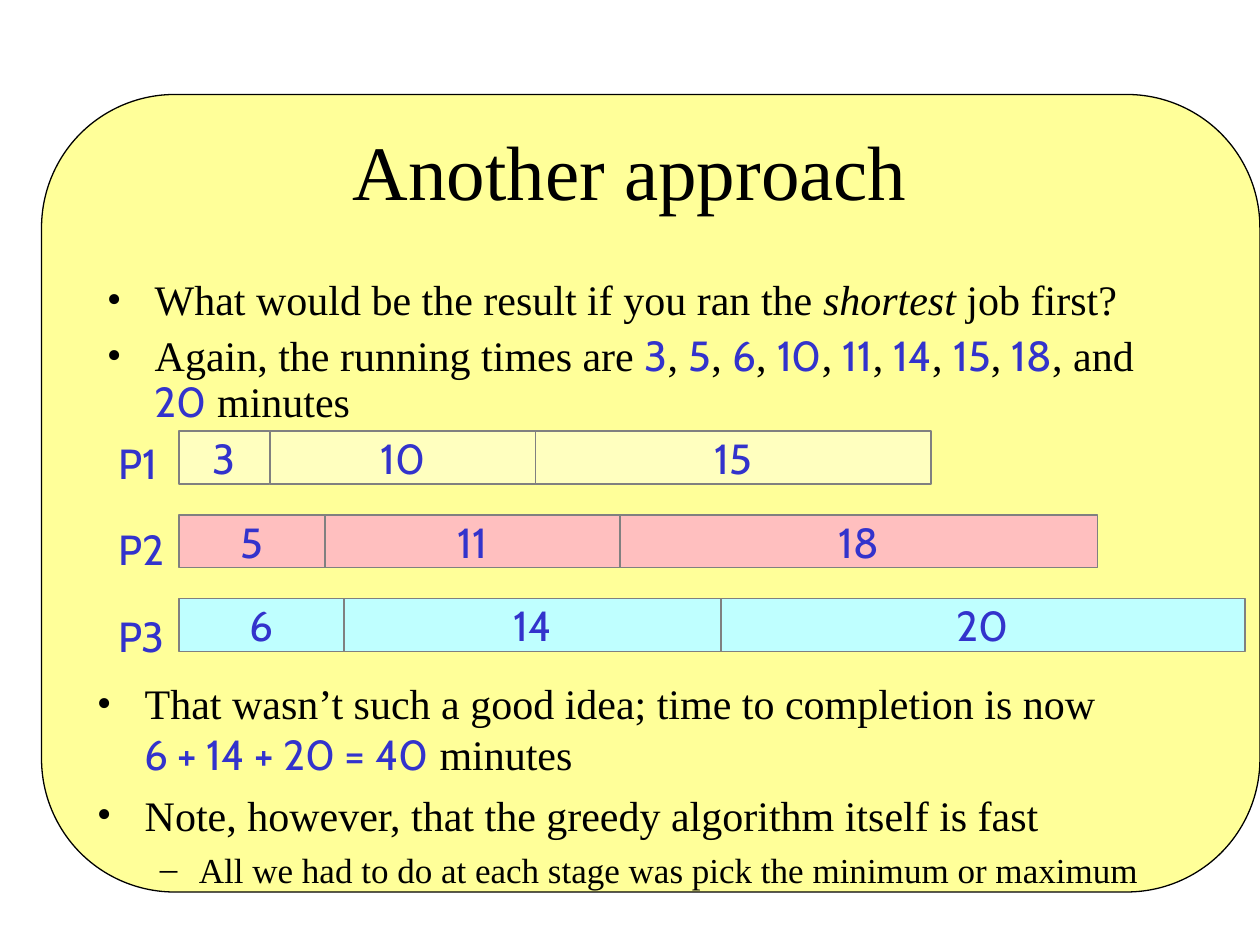
import pptx
import pptx.util
import pptx.dml.color
import pptx.enum.shapes
import pptx.enum.text
import pptx.oxml

Inches, Pt = pptx.util.Inches, pptx.util.Pt
RGB = pptx.dml.color.RGBColor
SHAPE = pptx.enum.shapes.MSO_SHAPE
ALIGN = pptx.enum.text.PP_ALIGN
ANCHOR = pptx.enum.text.MSO_ANCHOR

BLACK = RGB(0x00, 0x00, 0x00)
BLUE = RGB(0x33, 0x33, 0xCC)
GREY = RGB(0x80, 0x80, 0x80)
YELLOW = RGB(0xFF, 0xFF, 0x99)
CREAM = RGB(0xFF, 0xFF, 0xBF)
PINK = RGB(0xFF, 0xBF, 0xBF)
CYAN = RGB(0xBF, 0xFF, 0xFF)

SERIF, SANS = "Times New Roman", "Cabin"
TIMES = ("3", "5", "6", "10", "11", "14", "15", "18")

# Each row: fill, then job times, then the edges between the jobs
ROWS = (
    (CREAM, ("3", "10", "15"), (1.42, 2.14, 4.25, 7.39)),
    (PINK, ("5", "11", "18"), (1.42, 2.58, 4.92, 8.71)),
    (CYAN, ("6", "14", "20"), (1.42, 2.73, 5.72, 9.88)),
)
TOP, STEP, HIGH = 3.42, 0.665, 0.42


class Deck:
    def __init__(self):
        self.file = pptx.Presentation()
        self.file.slide_width = Inches(10)
        self.file.slide_height = Inches(7.5)
        self.slide = self.file.slides.add_slide(self.file.slide_layouts[6])

    def shape(self, kind, box, fill, line, width):
        item = self.slide.shapes.add_shape(kind, *map(Inches, box))
        item.shadow.inherit = False
        item.fill.solid()
        item.fill.fore_color.rgb = fill
        item.line.color.rgb = line
        item.line.width = Pt(width)
        return item

    def run(self, para, text, size=24, font=SERIF, color=BLACK, italic=False):
        run = para.add_run()
        run.text = text
        run.font.size = Pt(size)
        run.font.name = font
        run.font.color.rgb = color
        run.font.italic = italic

    def time(self, para, text):
        self.run(para, text, font=SANS, color=BLUE)

    def text(self, box, anchor=ANCHOR.TOP):
        frame = self.slide.shapes.add_textbox(*map(Inches, box)).text_frame
        frame.word_wrap = True
        frame.vertical_anchor = anchor
        return frame

    def para(self, frame, before=0, lines=1.0):
        """Return the unused first paragraph, or a new one."""
        first = frame.paragraphs[0]
        para = frame.add_paragraph() if first.runs else first
        para.space_before = Pt(before)
        para.line_spacing = lines
        return para

    def bullet(self, frame, mark="•", left=0.38, hang=0.38, before=6, lines=1.0):
        para = self.para(frame, before, lines)
        props = para._p.get_or_add_pPr()
        props.set("marL", str(Inches(left)))
        props.set("indent", str(-Inches(hang)))
        space = pptx.oxml.ns.nsdecls("a")
        for xml in (
            f'<a:buClr {space}><a:srgbClr val="{BLACK}"/></a:buClr>',
            f'<a:buFont {space} typeface="{SERIF}"/>',
            f'<a:buChar {space} char="{mark}"/>',
        ):
            props.append(pptx.oxml.parse_xml(xml))
        return para

    def bar(self, box, fill, label):
        frame = self.shape(SHAPE.RECTANGLE, box, fill, GREY, 1).text_frame
        frame.word_wrap = False
        frame.vertical_anchor = ANCHOR.MIDDLE
        para = self.para(frame)
        para.alignment = ALIGN.CENTER
        self.time(para, label)


def main():
    deck = Deck()
    panel = deck.shape(
        SHAPE.ROUNDED_RECTANGLE, (0.33, 0.75, 9.67, 6.33), YELLOW, BLACK, 0.75
    )
    panel.adjustments[0] = 0.167

    title = deck.para(deck.text((0.75, 0.78, 8.5, 1.14), ANCHOR.MIDDLE))
    title.alignment = ALIGN.CENTER
    deck.run(title, "Another approach", size=44)

    intro = deck.text((0.75, 2.17, 8.5, 1.36))
    para = deck.bullet(intro, lines=0.9)
    deck.run(para, "What would be the result if you ran the ")
    deck.run(para, "shortest", italic=True)
    deck.run(para, " job first?")
    para = deck.bullet(intro, lines=0.9)
    deck.run(para, "Again, the running times are ")
    for time in TIMES:
        deck.time(para, time)
        deck.run(para, ", and " if time == TIMES[-1] else ", ")
    deck.time(para, "20")
    deck.run(para, " minutes")

    notes = deck.text((0.67, 5.33, 8.58, 2))
    para = deck.bullet(notes)
    deck.run(para, "That wasn’t such a good idea; time to completion is now")
    para.add_line_break()
    deck.time(para, "6 + 14 + 20 = 40")
    deck.run(para, " minutes")
    para = deck.bullet(notes)
    deck.run(para, "Note, however, that the greedy algorithm itself is fast")
    para = deck.bullet(notes, "–", left=0.81, hang=0.31, before=5)
    para.level = 1
    deck.run(
        para, "All we had to do at each stage was pick the minimum or maximum", size=20
    )

    names = deck.text((0.84, 3.34, 0.66, 1.95))
    for row, (fill, jobs, edges) in enumerate(ROWS):
        deck.time(deck.para(names, before=15, lines=1.2), f"P{row + 1}")
        for job, left, right in zip(jobs, edges, edges[1:]):
            deck.bar((left, TOP + row * STEP, right - left, HIGH), fill, job)

    deck.file.save("out.pptx")


if __name__ == "__main__":
    main()
